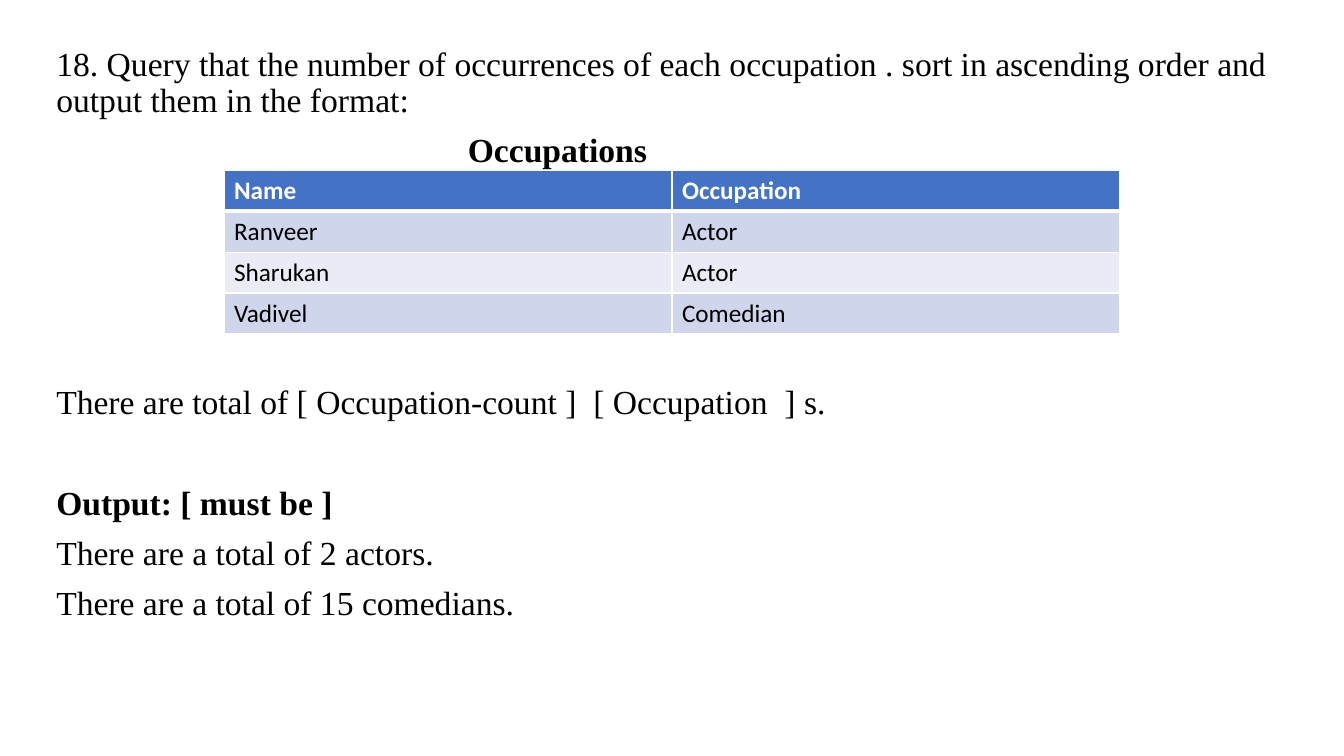
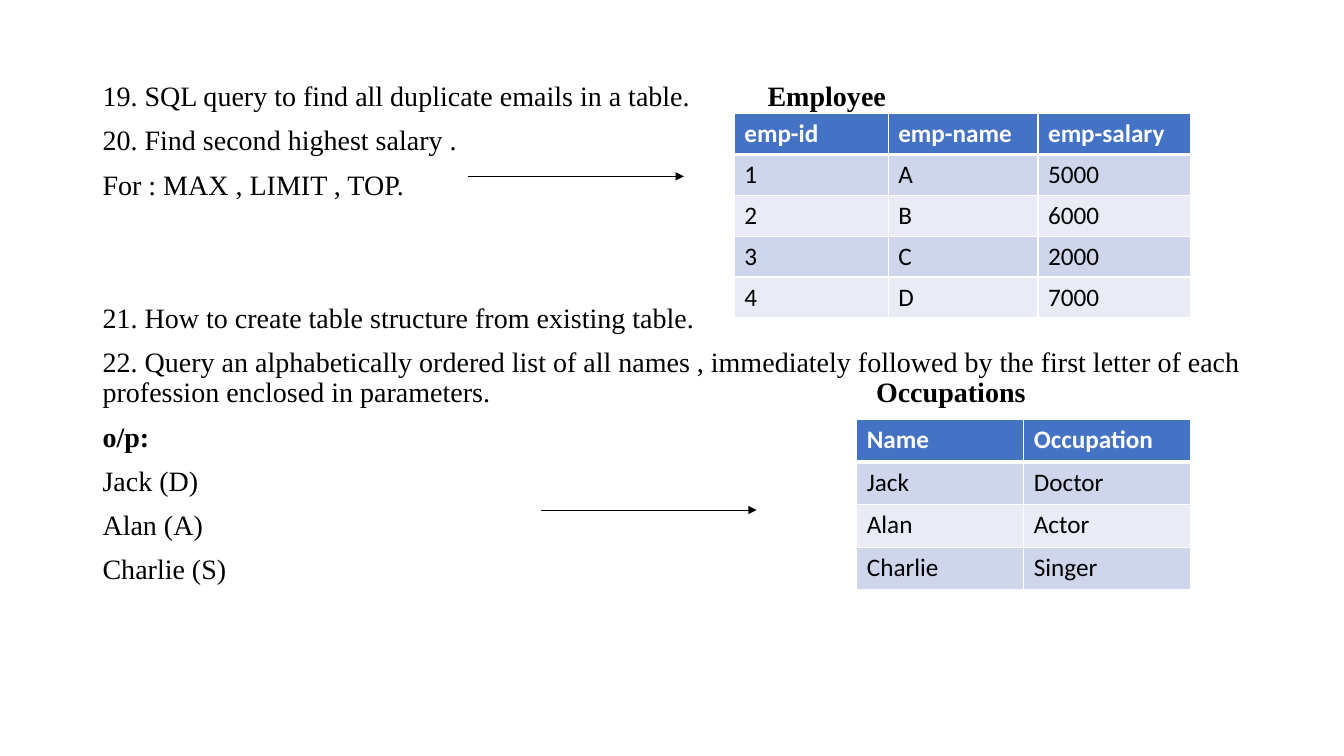
from dataclasses import dataclass

from lxml.etree import SubElement
from pptx import Presentation
from pptx.dml.color import RGBColor
from pptx.enum.shapes import MSO_CONNECTOR
from pptx.oxml.ns import qn
from pptx.slide import Slide
from pptx.util import Pt

# Shared look
SERIF, SANS = "Times New Roman", "Calibri"
BLACK, WHITE = "000000", "FFFFFF"
HEAD, BANDS = "4472C4", ("CFD5EA", "E9EBF5")
GAP = 10
CELL_SIZE = 18


@dataclass
class Run:
    text: str
    bold: bool = False


@dataclass
class Para:
    runs: list[Run]
    before: float = GAP
    tab: float = 0


@dataclass
class Body:
    left: float
    top: float
    width: float
    height: float
    size: float
    paras: list[Para]


@dataclass
class Grid:
    left: float
    top: float
    cols: list[float]
    row: float
    data: list[list[str]]


@dataclass
class Arrow:
    left: float
    top: float
    width: float


@dataclass
class Page:
    body: Body
    grids: list[Grid]
    arrows: list[Arrow]


def color(code: str) -> RGBColor:
    return RGBColor.from_string(code)


def line(text: str, bold: bool = False, before: float = GAP) -> Para:
    return Para([Run(text, bold)], before)


def add_run(para, item: Run, size: float, face: str, ink: str) -> None:
    run = para.add_run()
    run.text = item.text
    font = run.font
    font.size, font.name, font.bold = Pt(size), face, item.bold
    font.color.rgb = color(ink)


def add_body(slide: Slide, body: Body) -> None:
    box = slide.shapes.add_textbox(
        Pt(body.left), Pt(body.top), Pt(body.width), Pt(body.height))
    frame = box.text_frame
    frame.word_wrap = True
    for i, item in enumerate(body.paras):
        para = frame.add_paragraph() if i else frame.paragraphs[0]
        para.line_spacing = 0.9
        para.space_before = Pt(item.before)
        if item.tab:
            tabs = SubElement(para._p.get_or_add_pPr(), qn("a:tabLst"))
            SubElement(tabs, qn("a:tab"), pos=str(Pt(item.tab)), algn="l")
        for run in item.runs:
            add_run(para, run, body.size, SERIF, BLACK)


def add_edge(cell, side: str, width: float) -> None:
    props = cell._tc.get_or_add_tcPr()
    edge = SubElement(props, qn(f"a:ln{side}"), w=str(Pt(width)))
    fill = SubElement(edge, qn("a:solidFill"))
    SubElement(fill, qn("a:srgbClr"), val=WHITE)


def add_grid(slide: Slide, grid: Grid) -> None:
    count = len(grid.data)
    table = slide.shapes.add_table(
        count, len(grid.cols), Pt(grid.left), Pt(grid.top),
        Pt(sum(grid.cols)), Pt(grid.row * count)).table
    for col, width in zip(table.columns, grid.cols):
        col.width = Pt(width)
    for r, texts in enumerate(grid.data):
        table.rows[r].height = Pt(grid.row)
        top = r == 0
        for c, text in enumerate(texts):
            cell = table.cell(r, c)
            # Edges come before the fill in the cell properties
            for side in "LRTB":
                thick = (r, side) in ((0, "B"), (1, "T"))
                add_edge(cell, side, 3 if thick else 1)
            cell.fill.solid()
            cell.fill.fore_color.rgb = color(HEAD if top else BANDS[(r - 1) % 2])
            add_run(cell.text_frame.paragraphs[0], Run(text, top),
                    CELL_SIZE, SANS, WHITE if top else BLACK)


def add_arrow(slide: Slide, arrow: Arrow) -> None:
    link = slide.shapes.add_connector(
        MSO_CONNECTOR.STRAIGHT, Pt(arrow.left), Pt(arrow.top),
        Pt(arrow.left + arrow.width), Pt(arrow.top))
    link.line.width = Pt(0.5)
    link.line.color.rgb = color(BLACK)
    SubElement(link.line._get_or_add_ln(), qn("a:tailEnd"), type="triangle")
    SubElement(link._element.spPr, qn("a:effectLst"))


# Slide content
COUNT = Page(
    Body(33.1, 30.2, 894.2, 479.5, 24, [
        line("18. Query that the number of occurrences of each occupation . "
             "sort in ascending order and output them in the format:"),
        Para([Run("\tOccupations", True)], tab=294),
        line("There are total of [ Occupation-count ]  [ Occupation  ] s.",
             before=154),
        line("Output: [ must be ]", True, 46),
        line("There are a total of 2 actors."),
        line("There are a total of 15 comedians."),
    ]),
    [Grid(160, 121.7, [320, 320], 29.2, [
        ["Name", "Occupation"],
        ["Ranveer", "Actor"],
        ["Sharukan", "Actor"],
        ["Vadivel", "Comedian"],
    ])],
    [],
)

SALARY = Page(
    Body(66.2, 55.4, 828, 429, 20, [
        Para([Run("19. SQL query to find all duplicate emails in a table.\t"),
              Run("Employee", True)], tab=475),
        line("20. Find second highest salary ."),
        line("For : MAX , LIMIT , TOP."),
        line("21. How to create table structure from existing table.",
             before=73.5),
        Para([Run("22. Query an alphabetically ordered list of all names , "
                  "immediately followed by the first letter of each "
                  "profession enclosed in parameters.\t"),
              Run("Occupations", True)], tab=552.5),
        line("o/p:", True),
        line("Jack (D)"),
        line("Alan (A)"),
        line("Charlie (S)"),
    ]),
    [
        Grid(524.5, 81.1, [110, 107, 108.8], 29.2, [
            ["emp-id", "emp-name", "emp-salary"],
            ["1", "A", "5000"],
            ["2", "B", "6000"],
            ["3", "C", "2000"],
            ["4", "D", "7000"],
        ]),
        Grid(612, 299.7, [119.3, 119.3], 30.4, [
            ["Name", "Occupation"],
            ["Jack", "Doctor"],
            ["Alan", "Actor"],
            ["Charlie", "Singer"],
        ]),
    ],
    [Arrow(334.5, 126, 154), Arrow(386.5, 364.3, 154)],
)


def main() -> None:
    deck = Presentation()
    deck.slide_width, deck.slide_height = Pt(960), Pt(540)
    for page in (COUNT, SALARY):
        slide = deck.slides.add_slide(deck.slide_layouts[6])
        add_body(slide, page.body)
        for grid in page.grids:
            add_grid(slide, grid)
        for arrow in page.arrows:
            add_arrow(slide, arrow)
    deck.save("out.pptx")


if __name__ == "__main__":
    main()
